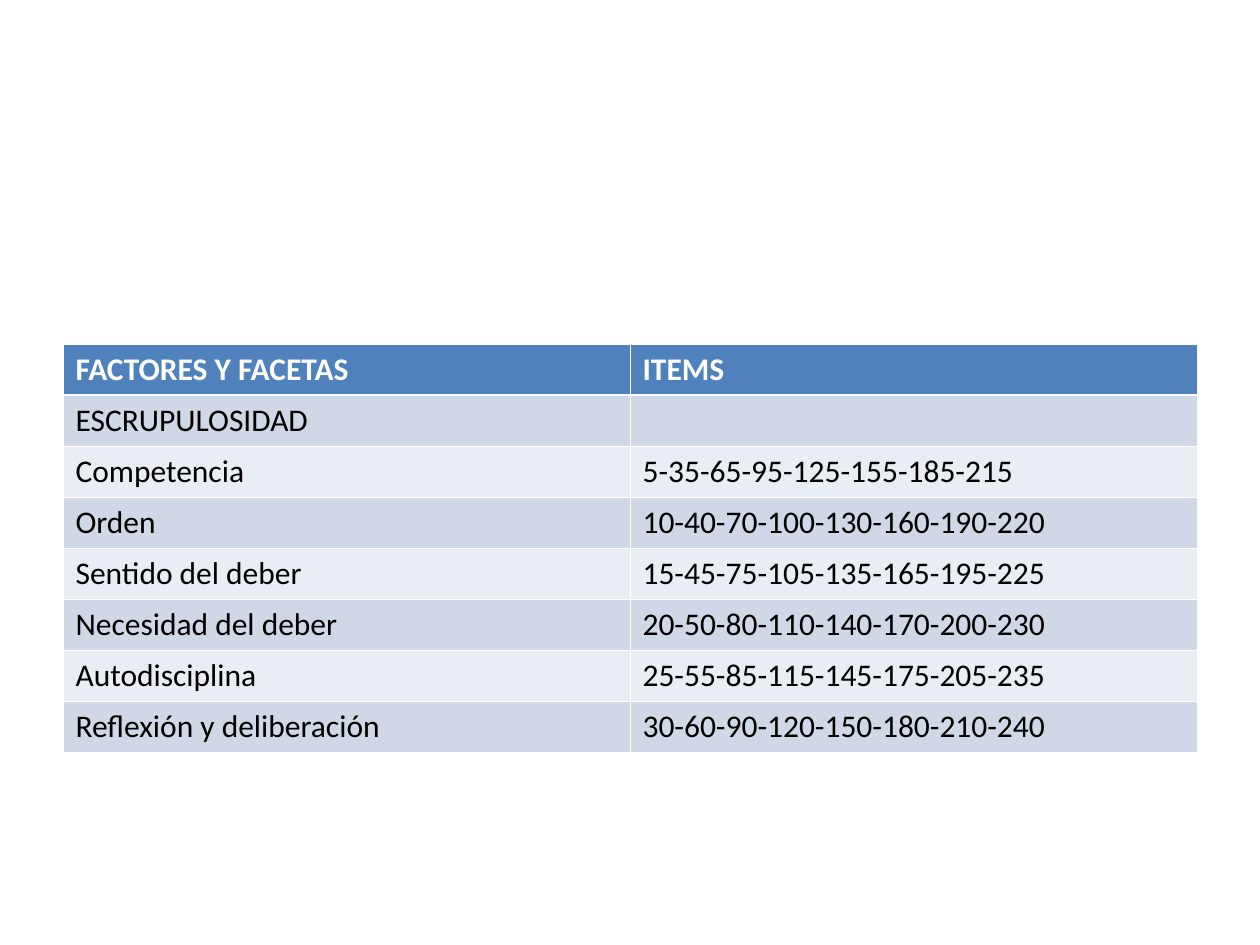
from lxml import etree
from pptx import Presentation
from pptx.dml.color import RGBColor
from pptx.oxml.ns import qn
from pptx.util import Emu, Pt

PX_PER_INCH = 126
EMU_PER_INCH = 914400
WHITE = RGBColor(0xFF, 0xFF, 0xFF)
BLACK = RGBColor(0x00, 0x00, 0x00)
HEADER_BLUE = RGBColor(0x4F, 0x81, 0xBD)
BAND_DARK = RGBColor(0xD0, 0xD8, 0xE8)
BAND_LIGHT = RGBColor(0xE9, 0xED, 0xF4)

FACETS = [
    ("FACTORES Y FACETAS", "ITEMS"),
    ("ESCRUPULOSIDAD", ""),
    ("Competencia", "5-35-65-95-125-155-185-215"),
    ("Orden", "10-40-70-100-130-160-190-220"),
    ("Sentido del deber", "15-45-75-105-135-165-195-225"),
    ("Necesidad del deber", "20-50-80-110-140-170-200-230"),
    ("Autodisciplina", "25-55-85-115-145-175-205-235"),
    ("Reflexión y deliberación", "30-60-90-120-150-180-210-240"),
]


def px(length):
    return Emu(round(length * EMU_PER_INCH / PX_PER_INCH))


def write_text(frame, text, *, font="Calibri", size=18, color=BLACK, bold=False):
    paragraph = frame.paragraphs[0]
    if text:
        paragraph.add_run().text = text
    for style in [paragraph.font] + [run.font for run in paragraph.runs]:
        style.name = font
        style.size = Pt(size)
        style.bold = bold
        style.color.rgb = color


class FacetSlide:
    """Hold the table style and the slide being built."""

    thin_rule = 0.45
    header_rule = 1.47

    def __init__(self, deck):
        self.slide = deck.slides.add_slide(deck.slide_layouts[6])

    def border(self, cell, side, width):
        properties = cell._tc.get_or_add_tcPr()
        line = etree.SubElement(properties, qn(f"a:ln{side}"), w=str(Pt(width)))
        fill = etree.SubElement(line, qn("a:solidFill"))
        etree.SubElement(fill, qn("a:srgbClr"), val=str(WHITE))

    def cell(self, cell, text, row):
        header = row == 0
        for side in "LRTB":
            heavy = (row, side) in ((0, "B"), (1, "T"))
            self.border(cell, side, self.header_rule if heavy else self.thin_rule)
        cell.fill.solid()
        band = BAND_DARK if row % 2 else BAND_LIGHT
        cell.fill.fore_color.rgb = HEADER_BLUE if header else band
        write_text(cell.text_frame, text, color=WHITE if header else BLACK, bold=header)

    def table(self, rows, left, top, width, row_height):
        grid = self.slide.shapes.add_table(
            len(rows), len(rows[0]), px(left), px(top),
            px(width), px(row_height * len(rows))).table
        for row, texts in enumerate(rows):
            grid.rows[row].height = px(row_height)
            for column, text in enumerate(texts):
                self.cell(grid.cell(row, column), text, row)


def main():
    deck = Presentation()
    deck.slide_width, deck.slide_height = px(1260), px(945)
    FacetSlide(deck).table(FACETS, left=63, top=344, width=1134, row_height=51)
    deck.save("out.pptx")


if __name__ == "__main__":
    main()
